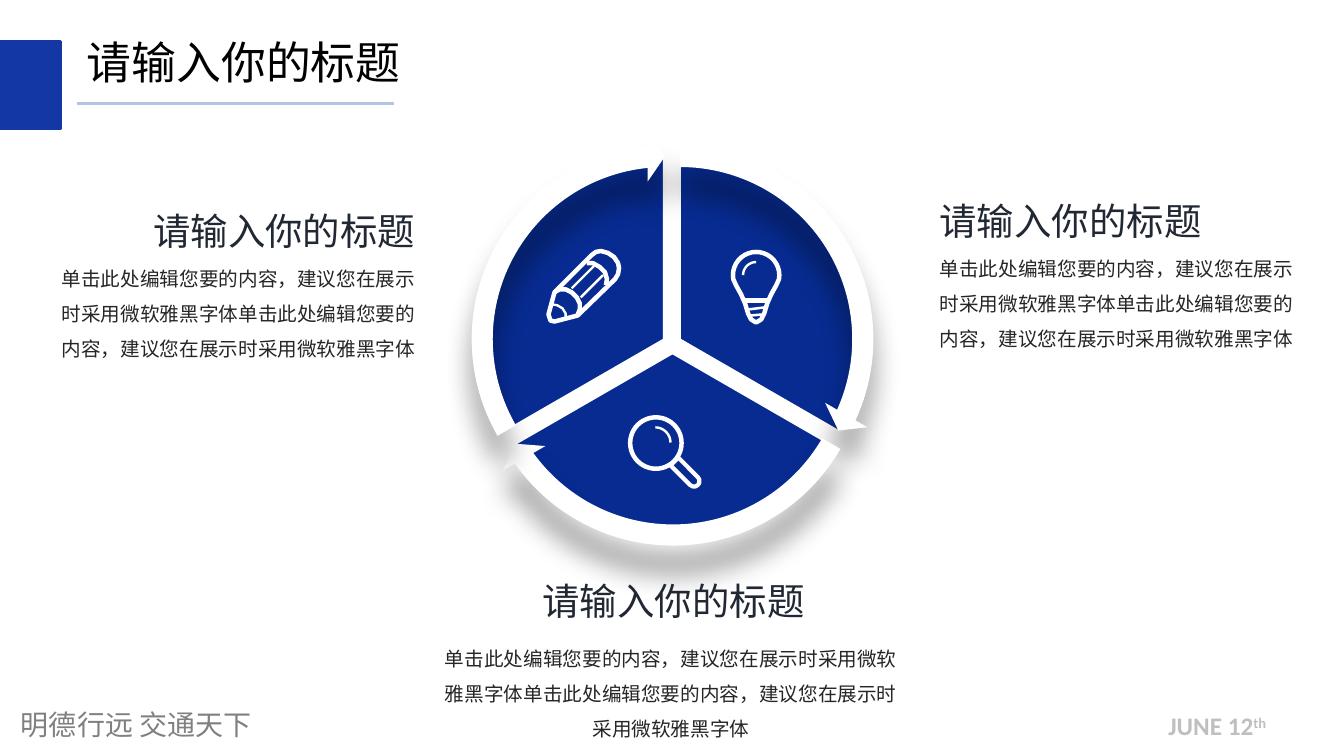
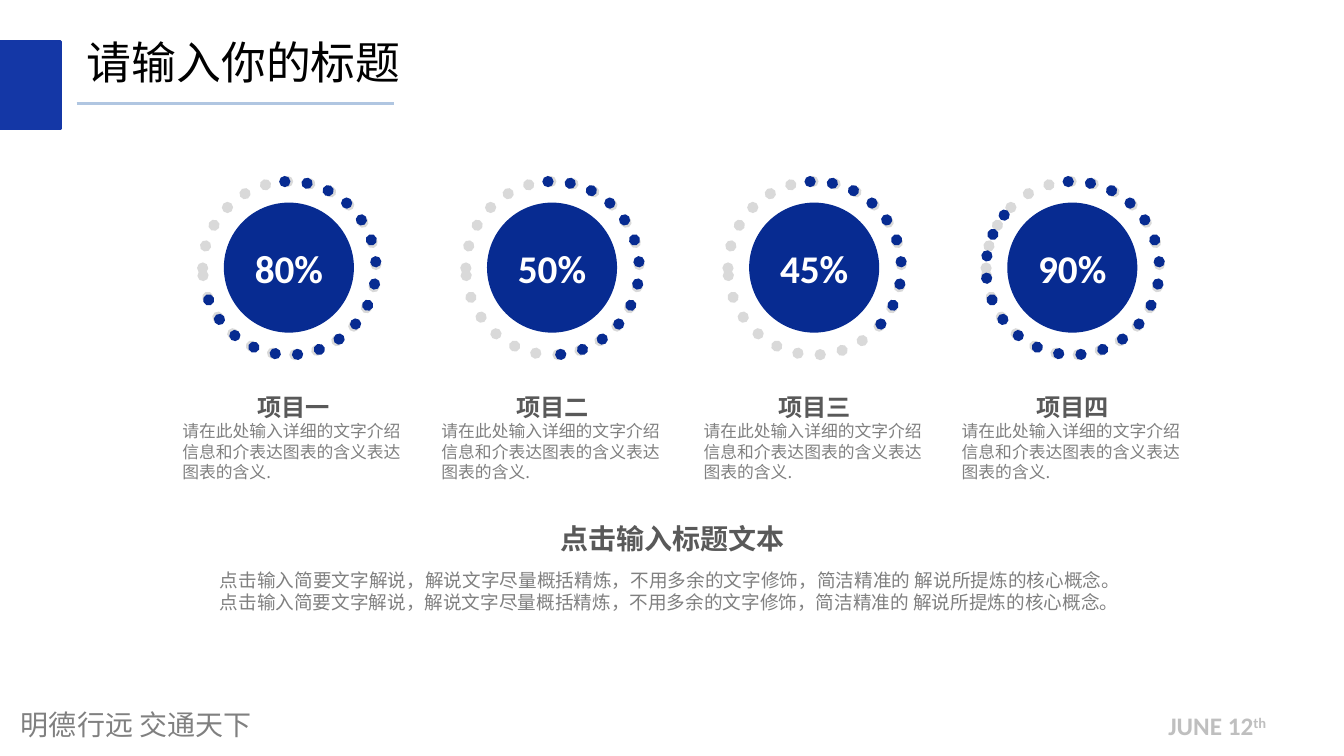
from math import cos, radians, sin

from lxml import etree
from pptx import Presentation
from pptx import util as u
from pptx.dml.color import RGBColor
from pptx.enum import shapes, text
from pptx.oxml import ns

Inches = u.Inches
SHAPE = shapes.MSO_SHAPE
ALIGN = text.PP_ALIGN

COLORS = {
    "navy": "072B91", "band": "1437A6", "rule": "B0C6E1", "white": "FFFFFF",
    "black": "000000", "heading": "212834", "body": "262626", "strong": "595959",
    "grey": "808080", "date": "BFBFBF", "track": "D9D9D9",
}
CJK = "Noto Sans CJK SC"
CONDENSED = "Roboto Condensed"
STYLES = {
    "title": {"size": 32, "name": CJK, "color": "black", "bold": False},
    "heading": {"size": 26.7, "name": CJK, "color": "heading"},
    "body": {"size": 14, "name": "Calibri", "color": "body"},
    "footer": {"size": 20, "name": "Noto Sans CJK JP", "color": "grey"},
    "date": {"size": 18, "name": "Calibri", "color": "date", "bold": True},
    "percent": {"size": 28, "name": "Calibri", "color": "white", "bold": True},
    "item": {"size": 17.3, "name": CONDENSED, "color": "strong", "bold": True},
    "detail": {"size": 12, "name": CJK, "color": "grey"},
    "subtitle": {"size": 20, "name": CONDENSED, "color": "strong", "bold": True},
    "summary": {"size": 13.3, "name": CONDENSED, "color": "grey"},
}
HEADING = "请输入你的标题"
BODY = "单击此处编辑您要的内容，建议您在展示时采用微软雅黑字体" * 2
DETAIL = "请在此处输入详细的文字介绍信息和介表达图表的含义表达图表的含义."
SUMMARY = ("点击输入简要文字解说，解说文字尽量概括精炼，不用多余的文字修饰，"
           "简洁精准的 解说所提炼的核心概念。") * 2


def rgb(color):
    return RGBColor.from_string(COLORS[color])


def sub(parent, tag, **attrs):
    return etree.SubElement(parent, ns.qn(tag), attrs)


def arc_points(cx, cy, radius, start, end, step=10):
    return [(cx + radius * cos(radians(a)), cy + radius * sin(radians(a)))
            for a in range(start, end + 1, step)]


class Deck:
    def __init__(self):
        self.prs = Presentation()
        self.prs.slide_width = Inches(13.33)
        self.prs.slide_height = Inches(7.5)
        self.s = None

    def slide(self, title):
        self.s = self.prs.slides.add_slide(self.prs.slide_layouts[5])
        sp = self.s.shapes.title
        sp.left, sp.top, sp.width, sp.height = map(Inches, (0.76, 0.29, 3.34, 0.64))
        self.fill_text(sp.text_frame, [(title, "title", ALIGN.LEFT)], wrap=False)
        self.shape(SHAPE.RECTANGLE, (0, 0.41, 0.6, 0.87), "band", "band", 2)
        self.rule((0.76, 1.03), (3.91, 1.03))
        self.text((0.11, 6.97, 3.94, 0.44), [("明德行远 交通天下", "footer", ALIGN.LEFT)])
        tf = self.text((11.49, 7, 1.2, 0.4), [("JUNE 12", "date", ALIGN.LEFT)], wrap=False)
        r = self.run(tf.paragraphs[0], "th", "date")
        r.font._element.set("baseline", "30000")

    def run(self, p, content, style):
        r = p.add_run()
        r.text = content
        for key, value in STYLES[style].items():
            if key == "color":
                r.font.color.rgb = rgb(value)
            else:
                setattr(r.font, key, u.Pt(value) if key == "size" else value)
        if "CJK" in STYLES[style]["name"]:
            sub(r.font._element, "a:ea", typeface=STYLES[style]["name"])
        return r

    def fill_text(self, tf, paras, wrap=True, inset=(0.1, 0.05), spacing=None,
                  anchor=text.MSO_ANCHOR.TOP):
        x, y = map(Inches, inset)
        frame = {"word_wrap": wrap, "auto_size": text.MSO_AUTO_SIZE.NONE,
                 "vertical_anchor": anchor, "margin_left": x, "margin_right": x,
                 "margin_top": y, "margin_bottom": y}
        for key, value in frame.items():
            setattr(tf, key, value)
        for i, (content, style, align) in enumerate(paras):
            p = tf.add_paragraph() if i else tf.paragraphs[0]
            p.alignment = align
            if spacing:
                p.line_spacing = spacing
            self.run(p, content, style)
        return tf

    def text(self, box, paras, **frame):
        sp = self.s.shapes.add_textbox(*map(Inches, box))
        return self.fill_text(sp.text_frame, paras, **frame)

    def paint(self, sp, fill=None, line=None, width=1.0, dotted=False):
        sp.shadow.inherit = False
        if fill:
            sp.fill.solid()
            sp.fill.fore_color.rgb = rgb(fill)
        else:
            sp.fill.background()
        if not line:
            sp.line.fill.background()
            return
        sp.line.color.rgb = rgb(line)
        sp.line.width = u.Pt(width)
        ln = sp.line._get_or_add_ln()
        if dotted:
            ln.set("cap", "rnd")
            sub(ln, "a:prstDash", val="sysDot")
        sub(ln, "a:round")

    def shape(self, kind, box, fill=None, line=None, width=1.0, dotted=False, adj=()):
        sp = self.s.shapes.add_shape(kind, *map(Inches, box))
        for i, value in enumerate(adj):
            sp.adjustments[i] = value
        self.paint(sp, fill, line, width, dotted)
        return sp

    def rule(self, start, end):
        line = self.s.shapes.add_connector(
            shapes.MSO_CONNECTOR.STRAIGHT, *map(Inches, start + end))
        line.line.color.rgb = rgb("rule")
        line.line.width = u.Pt(2.25)
        sub(line._element.spPr, "a:effectLst")

    def stroke(self, points, width=3.2, close=False):
        pts = [(Inches(x), Inches(y)) for x, y in points]
        fb = self.s.shapes.build_freeform(*pts[0])
        fb.add_line_segments(pts[1:], close=close)
        self.paint(fb.convert_to_shape(), None, "white", width)

    def drop_shadow(self, sp):
        effects = sp._element.spPr.find(ns.qn("a:effectLst"))
        shadow = sub(effects, "a:outerShdw", blurRad=str(u.Pt(20)), dist=str(u.Pt(20)),
                     dir="5400000", algn="t", rotWithShape="0")
        color = sub(shadow, "a:srgbClr", val=COLORS["black"])
        sub(color, "a:alpha", val="40000")

    def wheel(self):
        origins = [(4.91, 1.54), (4.84, 1.67), (4.76, 1.54)]
        starts = [162, 18, 90]
        for i, (x, y) in enumerate(origins):
            self.shape(SHAPE.PIE, (x, y, 3.66, 3.66), "navy", "white", 2,
                       adj=(starts[i], starts[(i + 1) % 3]))
        for i, (x, y) in enumerate(origins):
            sp = self.shape(SHAPE.CIRCULAR_ARROW, (x - 0.22, y - 0.23, 4.11, 4.11), "white",
                            adj=(0.051, 3.275, 14.725 + 72 * i, starts[i], 0.059))
            self.drop_shadow(sp)

    def magnifier(self):
        self.shape(SHAPE.OVAL, (6.25, 4.14, 0.51, 0.51), None, "white", 3.2)
        self.stroke(arc_points(6.5, 4.39, 0.15, 270, 360), 1.7)
        handle = self.shape(SHAPE.ROUND_2_SAME_RECTANGLE, (6.75, 4.53, 0.11, 0.33),
                            None, "white", 3, adj=(0.5, 0))
        handle.rotation = 135

    def pencil(self):
        self.stroke([(5.44, 3.12), (5.5, 2.9), (5.87, 2.53), (5.91, 2.5), (5.96, 2.49),
                     (6.03, 2.51), (6.09, 2.55), (6.13, 2.61), (6.14, 2.66), (6.13, 2.72),
                     (6.1, 2.77), (5.73, 3.13), (5.5, 3.19), (5.46, 3.18)], close=True)
        self.stroke([(5.5, 2.9), (5.55, 2.87), (5.61, 2.87), (5.67, 2.9), (5.72, 2.95),
                     (5.75, 3.01), (5.75, 3.07), (5.73, 3.12)])
        self.stroke([(5.82, 2.61), (5.88, 2.61), (5.95, 2.65), (6, 2.7),
                     (6.02, 2.77), (6.01, 2.83)])
        self.stroke([(5.67, 2.86), (5.89, 2.64)], 1.7)
        self.stroke([(5.76, 2.95), (5.98, 2.73)], 1.7)
        self.stroke([(5.48, 3.02), (5.53, 3.03), (5.58, 3.06), (5.61, 3.11), (5.61, 3.16)], 1.7)

    def bulb(self):
        self.stroke(arc_points(7.5, 2.73, 0.23, 170, 370) + [
            (7.7, 2.83), (7.65, 2.92), (7.61, 3.01), (7.58, 3.11), (7.55, 3.17), (7.5, 3.2),
            (7.45, 3.17), (7.42, 3.11), (7.39, 3.01), (7.35, 2.92), (7.3, 2.83)], close=True)
        self.stroke(arc_points(7.5, 2.73, 0.13, 180, 270), 1.7)
        self.stroke([(7.39, 2.98), (7.61, 2.98)])
        self.stroke([(7.42, 3.07), (7.58, 3.05)], 1.8)
        self.stroke([(7.44, 3.13), (7.56, 3.12)], 1.8)

    def gauge(self, x, percent, end):
        ring = (x, 1.8, 1.72, 1.72)
        self.shape(SHAPE.OVAL, ring, None, "track", 8, True)
        disc = self.shape(SHAPE.OVAL, (x + 0.21, 2.01, 1.29, 1.29), "navy")
        self.fill_text(disc.text_frame, [(percent, "percent", ALIGN.CENTER)],
                       inset=(0.07, 0.04), anchor=text.MSO_ANCHOR.MIDDLE)
        self.shape(SHAPE.ARC, ring, None, "navy", 8, True, (160.18, end))


def wheel_slide(deck):
    deck.slide(HEADING)
    deck.wheel()
    blocks = [
        ((9.22, 1.92), (9.22, 2.38, 3.78), ALIGN.LEFT, ALIGN.LEFT),
        ((1.4, 2.02), (0.44, 2.48, 3.78), ALIGN.RIGHT, ALIGN.RIGHT),
        ((5.26, 5.69), (4.26, 6.25, 4.79), ALIGN.RIGHT, ALIGN.CENTER),
    ]
    for head, body, head_align, body_align in blocks:
        deck.text((*body, 1.12), [(BODY, "body", body_align)], spacing=1.5)
        deck.text((*head, 2.82, 0.55), [(HEADING, "heading", head_align)], wrap=False)
    deck.magnifier()
    deck.pencil()
    deck.bulb()


def gauge_slide(deck):
    deck.slide(HEADING)
    gauges = [
        (2.01, 1.71, "80%", 98.33, "项目一"),
        (4.62, 4.28, "50%", 57.89, "项目二"),
        (7.22, 6.88, "45%", 31.33, "项目三"),
        (9.78, 9.44, "90%", 132.86, "项目四"),
    ]
    for x, caption_x, percent, end, name in gauges:
        deck.gauge(x, percent, end)
        deck.text((caption_x, 3.84, 2.4, 1),
                  [(name, "item", ALIGN.CENTER), (DETAIL, "detail", ALIGN.LEFT)])
    deck.text((5.56, 5.17, 2.25, 0.34), [("点击输入标题文本", "subtitle", ALIGN.LEFT)],
              inset=(0, 0))
    deck.text((2.18, 5.64, 8.94, 0.45), [(SUMMARY, "summary", ALIGN.JUSTIFY)], inset=(0, 0))


def main():
    deck = Deck()
    wheel_slide(deck)
    gauge_slide(deck)
    deck.prs.save("out.pptx")


if __name__ == "__main__":
    main()
